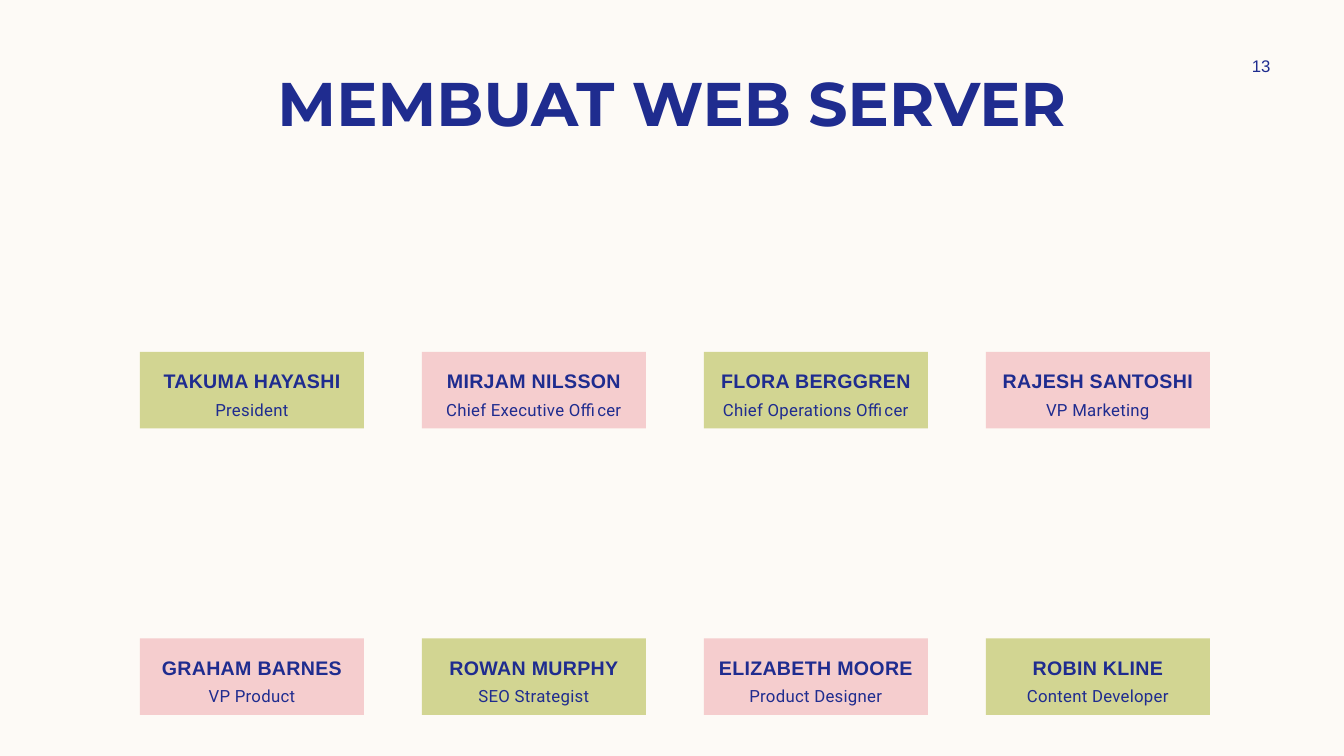
import pptx
import pptx.dml.color
import pptx.enum.shapes
import pptx.enum.text
import pptx.util

Pt = pptx.util.Pt
ANCHOR = pptx.enum.text.MSO_ANCHOR

COLORS = {
    "paper": "FDFAF6",
    "navy": "1F2C8F",
    "olive": "D2D592",
    "pink": "F5CDCE",
}

TEAM = [
    [
        ("TAKUMA HAYASHI", "President"),
        ("MIRJAM NILSSON", "Chief Executive Officer"),
        ("FLORA BERGGREN", "Chief Operations Officer"),
        ("RAJESH SANTOSHI", "VP Marketing"),
    ],
    [
        ("GRAHAM BARNES", "VP Product"),
        ("ROWAN MURPHY", "SEO Strategist"),
        ("ELIZABETH MOORE", "Product Designer"),
        ("ROBIN KLINE", "Content Developer"),
    ],
]

CARD_LEFT, CARD_TOP = 100, 251.4
CARD_WIDTH, CARD_HEIGHT = 160, 54.6
COLUMN_PITCH, ROW_PITCH = 201.4, 204.6
ROLE_OFFSET, ROLE_HEIGHT = 33.8, 14.4


def color(name):
    return pptx.dml.color.RGBColor.from_string(COLORS[name])


def write(frame, text, size, font="Arial", bold=False, spacing=0, before=0,
          anchor=ANCHOR.MIDDLE, insets=(7.2, 3.6, 7.2, 3.6)):
    frame.word_wrap = True
    frame.auto_size = pptx.enum.text.MSO_AUTO_SIZE.NONE
    frame.vertical_anchor = anchor
    frame.margin_left, frame.margin_top, frame.margin_right, frame.margin_bottom = map(Pt, insets)
    paragraph = frame.paragraphs[0]
    paragraph.alignment = pptx.enum.text.PP_ALIGN.CENTER
    paragraph.space_before = Pt(before)
    run = paragraph.add_run()
    run.text = text
    run.font.name = font
    run.font.size = Pt(size)
    run.font.bold = bold
    run.font.color.rgb = color("navy")
    if spacing:
        run._r.get_or_add_rPr().set("spc", str(round(spacing * 100)))


class TeamSlide:
    def __init__(self, deck):
        self.slide = deck.slides.add_slide(deck.slide_layouts[5])
        background = self.slide.background.fill
        background.solid()
        background.fore_color.rgb = color("paper")

    def title(self, text, left, top, width, height):
        heading = self.slide.shapes.title
        heading.left, heading.top, heading.width, heading.height = map(Pt, (left, top, width, height))
        write(heading.text_frame, text, 44, font="Montserrat", bold=True)

    def label(self, text, left, top, width, height, **style):
        label = self.slide.shapes.add_textbox(*map(Pt, (left, top, width, height)))
        write(label.text_frame, text, 12, **style)

    def card(self, name, role, left, top, fill):
        card = self.slide.shapes.add_shape(
            pptx.enum.shapes.MSO_SHAPE.RECTANGLE,
            *map(Pt, (left, top, CARD_WIDTH, CARD_HEIGHT)))
        card.shadow.inherit = False
        card.fill.solid()
        card.fill.fore_color.rgb = color(fill)
        card.line.fill.background()
        write(card.text_frame, name, 14, bold=True, spacing=0.2,
              anchor=ANCHOR.TOP, insets=(0, 12.2, 0, 3.6))
        self.label(role, left, top + ROLE_OFFSET, CARD_WIDTH, ROLE_HEIGHT,
                   font="Roboto", spacing=0.2, before=3.6)


def main():
    deck = pptx.Presentation()
    deck.slide_width, deck.slide_height = Pt(960), Pt(540)
    page = TeamSlide(deck)
    page.title("MEMBUAT WEB SERVER", 60, 42.5, 840, 60.5)
    for row, members in enumerate(TEAM):
        for column, (name, role) in enumerate(members):
            fill = "pink" if (row + column) % 2 else "olive"
            page.card(name, role, CARD_LEFT + column * COLUMN_PITCH,
                      CARD_TOP + row * ROW_PITCH, fill)
    page.label("13", 862, 36, 77.8, 21.6)
    deck.save("out.pptx")


if __name__ == "__main__":
    main()
